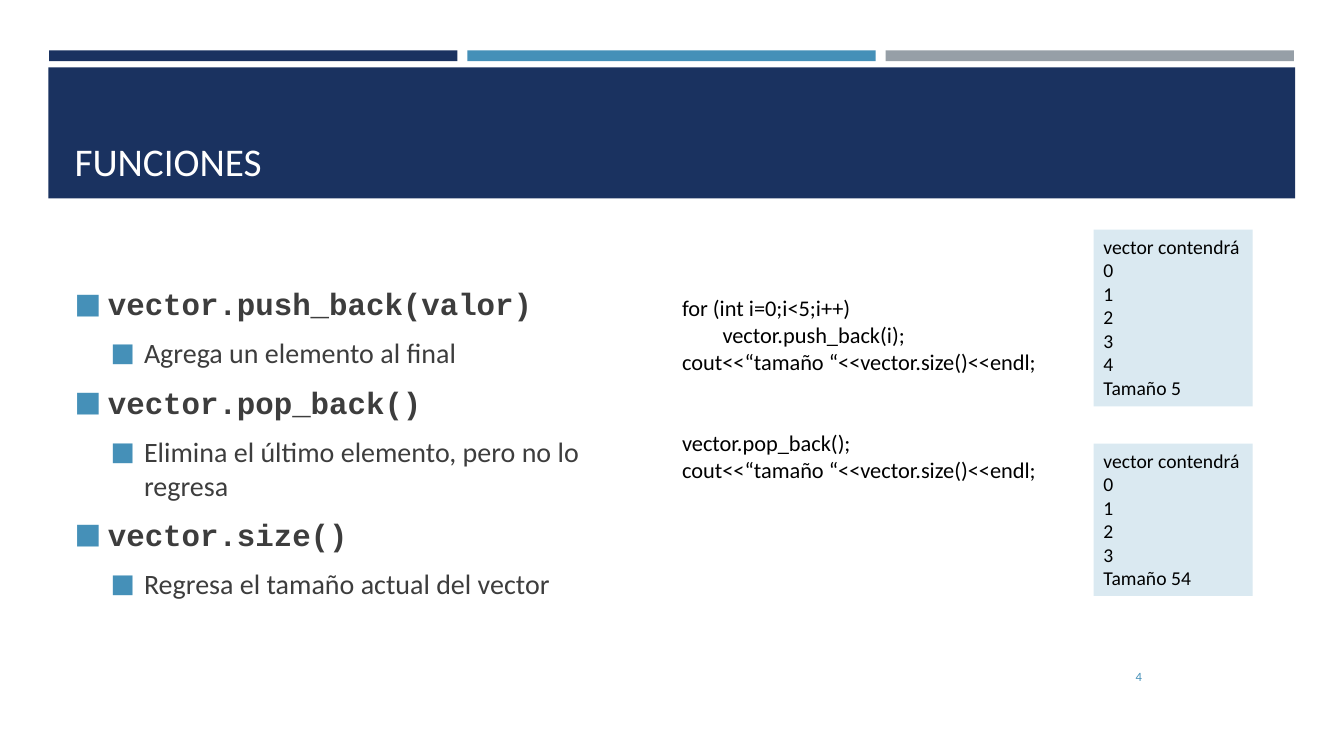
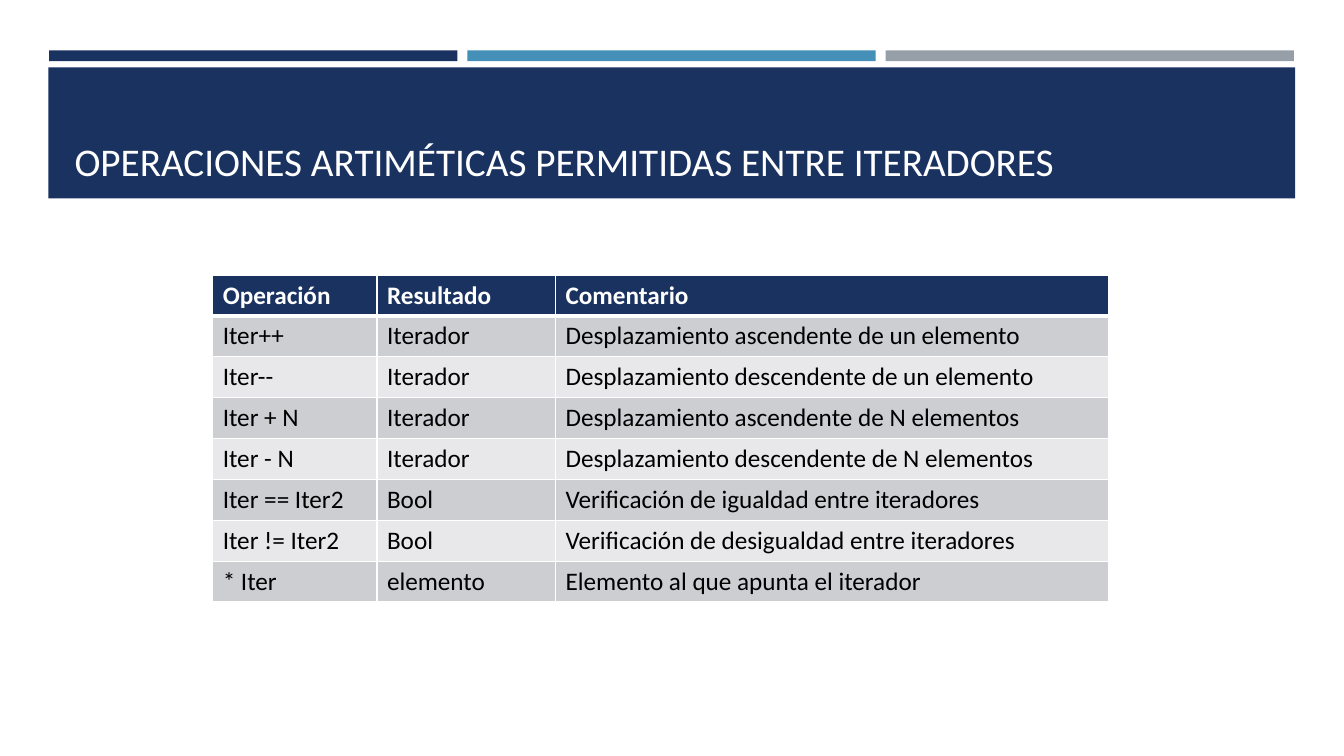
from lxml.etree import SubElement
from pptx import Presentation
from pptx.dml.color import RGBColor
from pptx.enum.shapes import MSO_SHAPE as Preset
from pptx.enum.text import MSO_ANCHOR as Anchor, MSO_AUTO_SIZE as AutoSize, PP_ALIGN as Align
from pptx.oxml.ns import qn
from pptx.util import Cm, Pt

COLORS = {
    "navy": "1A3260",
    "blue": "4590B8",
    "gray": "969FA7",
    "pale": "DAE9F1",
    "text": "3D3D3D",
    "black": "000000",
    "white": "FFFFFF",
    "dark_row": "CDCED2",
    "light_row": "E8E8EA",
}
BODY_FONT, CODE_FONT = "Calibri", "Courier New"


def rgb(name):
    """Return the named colour."""
    return RGBColor.from_string(COLORS[name])


class SlideWriter:
    """Holds the shared style and the current slide."""

    def __init__(self):
        """Start a widescreen deck."""
        self.deck = Presentation()
        self.deck.slide_width, self.deck.slide_height = Cm(33.87), Cm(19.05)
        self.page = None

    def start(self, title):
        """Add a page with the three bars, the title band and the title."""
        self.page = self.deck.slides.add_slide(self.deck.slide_layouts[6])
        for index, color in enumerate(("navy", "blue", "gray")):
            self.rect(1.24 + index * 10.64 - index * 0.1, 1.27, 10.29, 0.27, color)
        self.rect(1.22, 1.7, 31.42, 3.3, "navy")
        self.text(1.63, 1.96, 30.63, 2.82, [title], 28, "white", anchor=Anchor.BOTTOM)

    def rect(self, left, top, width, height, color):
        """Add a plain filled rectangle."""
        box = self.page.shapes.add_shape(
            Preset.RECTANGLE, Cm(left), Cm(top), Cm(width), Cm(height))
        box.shadow.inherit = False
        box.fill.solid()
        box.fill.fore_color.rgb = rgb(color)
        box.line.fill.background()
        return box

    def style(self, para, size, color, font=BODY_FONT, bold=False):
        """Format every run of a paragraph."""
        for span in para.runs:
            span.font.size, span.font.name, span.font.bold = Pt(size), font, bold
            span.font.color.rgb = rgb(color)

    def fill_text(self, box, lines, size, color, align=Align.LEFT):
        """Write one paragraph per line and return the paragraphs."""
        frame = box.text_frame
        frame.text = "\n".join(lines)
        for para in frame.paragraphs:
            para.alignment = align
            self.style(para, size, color)
        return frame.paragraphs

    def text(self, left, top, width, height, lines, size, color,
             anchor=Anchor.TOP, align=Align.LEFT):
        """Add a wrapping text box and return its paragraphs."""
        box = self.page.shapes.add_textbox(Cm(left), Cm(top), Cm(width), Cm(height))
        box.text_frame.word_wrap = True
        box.text_frame.vertical_anchor = anchor
        return self.fill_text(box, lines, size, color, align)

    def indent(self, para, margin, hanging=0):
        """Set the left margin and the hanging indent."""
        props = para._p.get_or_add_pPr()
        props.set("marL", str(Cm(margin)))
        props.set("indent", str(-Cm(hanging)))
        return props

    def bullet(self, para, margin):
        """Give a paragraph a blue square bullet."""
        para.space_before, para.space_after = Pt(4), Pt(6)
        props = self.indent(para, margin, 0.84)
        color = SubElement(props, qn("a:buClr"))
        SubElement(color, qn("a:srgbClr"), val=COLORS["blue"])
        SubElement(props, qn("a:buSzPct"), val="92000")
        SubElement(props, qn("a:buFont"), typeface=BODY_FONT)
        SubElement(props, qn("a:buChar"), char="■")

    def functions(self, entries):
        """List each function in code style above its description."""
        lines = [line for entry in entries for line in entry]
        paras = self.text(1.63, 6.05, 15.09, 10.21, lines, 20, "text", Anchor.MIDDLE)
        for index, para in enumerate(paras):
            if index % 2:
                self.bullet(para, 1.75)
            else:
                self.bullet(para, 0.84)
                self.style(para, 22, "text", CODE_FONT, True)

    def output(self, top, height, lines):
        """Add a pale box with program output."""
        box = self.rect(27.56, top, 4.01, height, "pale")
        box.text_frame.word_wrap = False
        box.text_frame.auto_size = AutoSize.SHAPE_TO_FIT_TEXT
        box.text_frame.vertical_anchor = Anchor.TOP
        self.fill_text(box, lines, 14, "black")

    def number(self, value):
        """Add the page number."""
        self.text(21.13, 16.54, 7.9, 1.02, [value], 9, "blue", Anchor.MIDDLE, Align.RIGHT)

    def borders(self, cell, top, bottom):
        """Draw white cell borders, with top and bottom widths in points."""
        props = cell._tc.get_or_add_tcPr()
        for side, width in (("L", 1), ("R", 1), ("T", top), ("B", bottom)):
            line = SubElement(props, qn("a:ln" + side), w=str(Pt(width)))
            fill = SubElement(line, qn("a:solidFill"))
            SubElement(fill, qn("a:srgbClr"), val=COLORS["white"])

    def table(self, left, top, widths, row_height, rows):
        """Add a table with a navy header and alternating rows."""
        grid = self.page.shapes.add_table(
            len(rows), len(widths), Cm(left), Cm(top),
            Cm(sum(widths)), Cm(row_height * len(rows))).table
        for column, width in zip(grid.columns, widths):
            column.width = Cm(width)
        for index, row in enumerate(rows):
            header = index == 0
            shade = "navy" if header else "dark_row" if index % 2 else "light_row"
            for cell, words in zip(grid.rows[index].cells, row):
                self.borders(cell, 3 if index == 1 else 1, 3 if header else 1)
                cell.fill.solid()
                cell.fill.fore_color.rgb = rgb(shade)
                cell.text_frame.text = words
                self.style(cell.text_frame.paragraphs[0], 18,
                           "white" if header else "black", bold=header)


def build_functions(writer):
    """Build the page on vector functions."""
    writer.start("FUNCIONES")
    writer.number("4")
    writer.functions([
        ("vector.push_back(valor)", "Agrega un elemento al final"),
        ("vector.pop_back()", "Elimina el último elemento, pero no lo regresa"),
        ("vector.size()", "Regresa el tamaño actual del vector"),
    ])
    print_size = "cout<<“tamaño “<<vector.size()<<endl;"
    code = writer.text(16.94, 7.29, 9.75, 5.74, [
        "for (int i=0;i<5;i++)", "vector.push_back(i);", print_size,
        "vector.pop_back();", print_size], 16, "black")
    writer.indent(code[1], 1.02)
    code[3].space_before = Pt(39)
    writer.output(5.79, 4.45, ["vector contendrá", *"01234", "Tamaño 5"])
    writer.output(11.18, 3.84, ["vector contendrá", *"0123", "Tamaño 54"])


def build_operations(writer):
    """Build the page on iterator arithmetic."""
    writer.start("OPERACIONES ARTIMÉTICAS PERMITIDAS ENTRE ITERADORES")
    writer.table(5.36, 6.93, (4.14, 4.5, 13.94), 1.03, [
        ("Operación", "Resultado", "Comentario"),
        ("Iter++", "Iterador", "Desplazamiento ascendente de un elemento"),
        ("Iter--", "Iterador", "Desplazamiento descendente de un elemento"),
        ("Iter + N", "Iterador", "Desplazamiento ascendente de N elementos"),
        ("Iter - N", "Iterador", "Desplazamiento descendente de N elementos"),
        ("Iter == Iter2", "Bool", "Verificación de igualdad entre iteradores"),
        ("Iter != Iter2", "Bool", "Verificación de desigualdad entre iteradores"),
        ("* Iter", "elemento", "Elemento al que apunta el iterador"),
    ])


writer = SlideWriter()
build_functions(writer)
build_operations(writer)
writer.deck.save("out.pptx")
